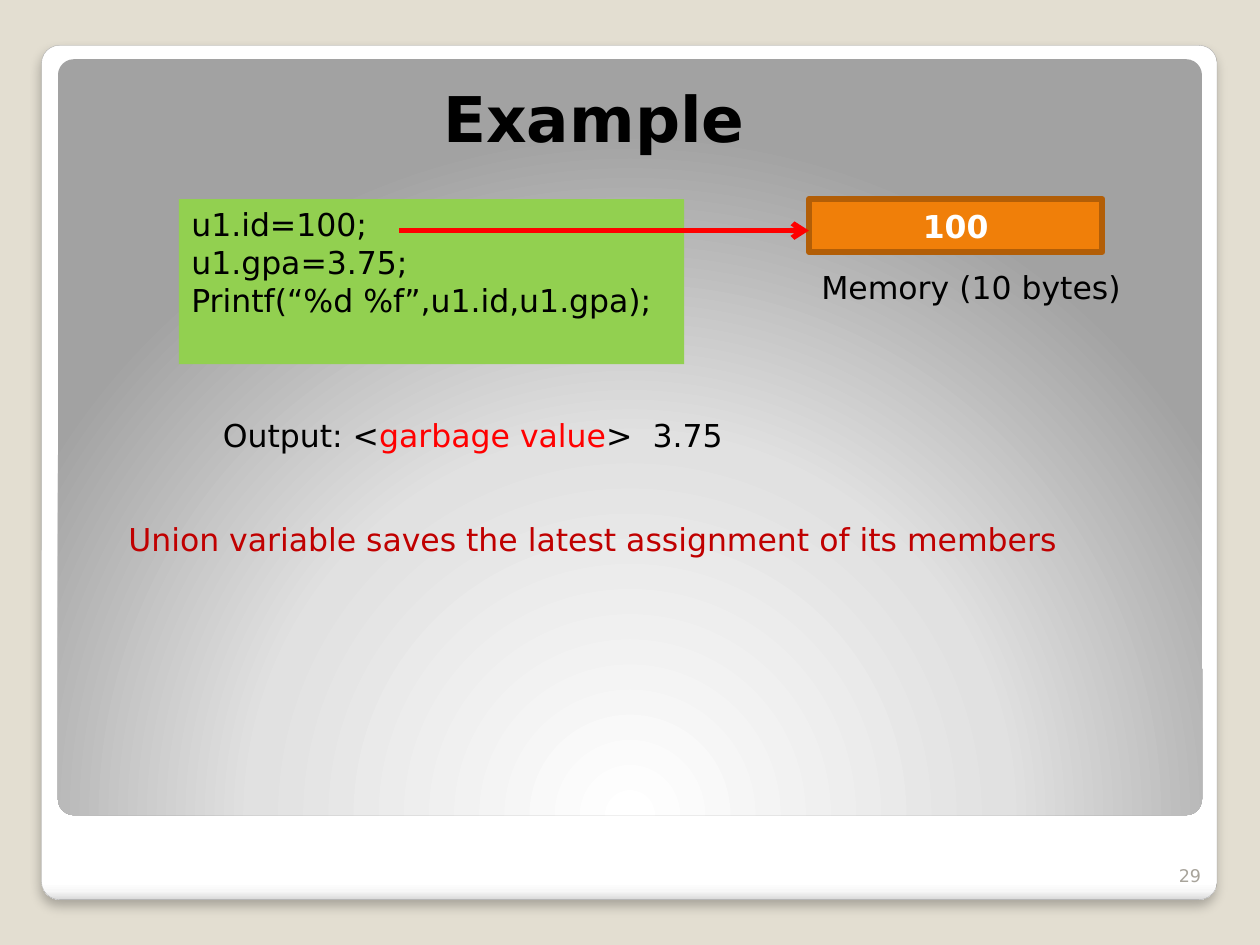
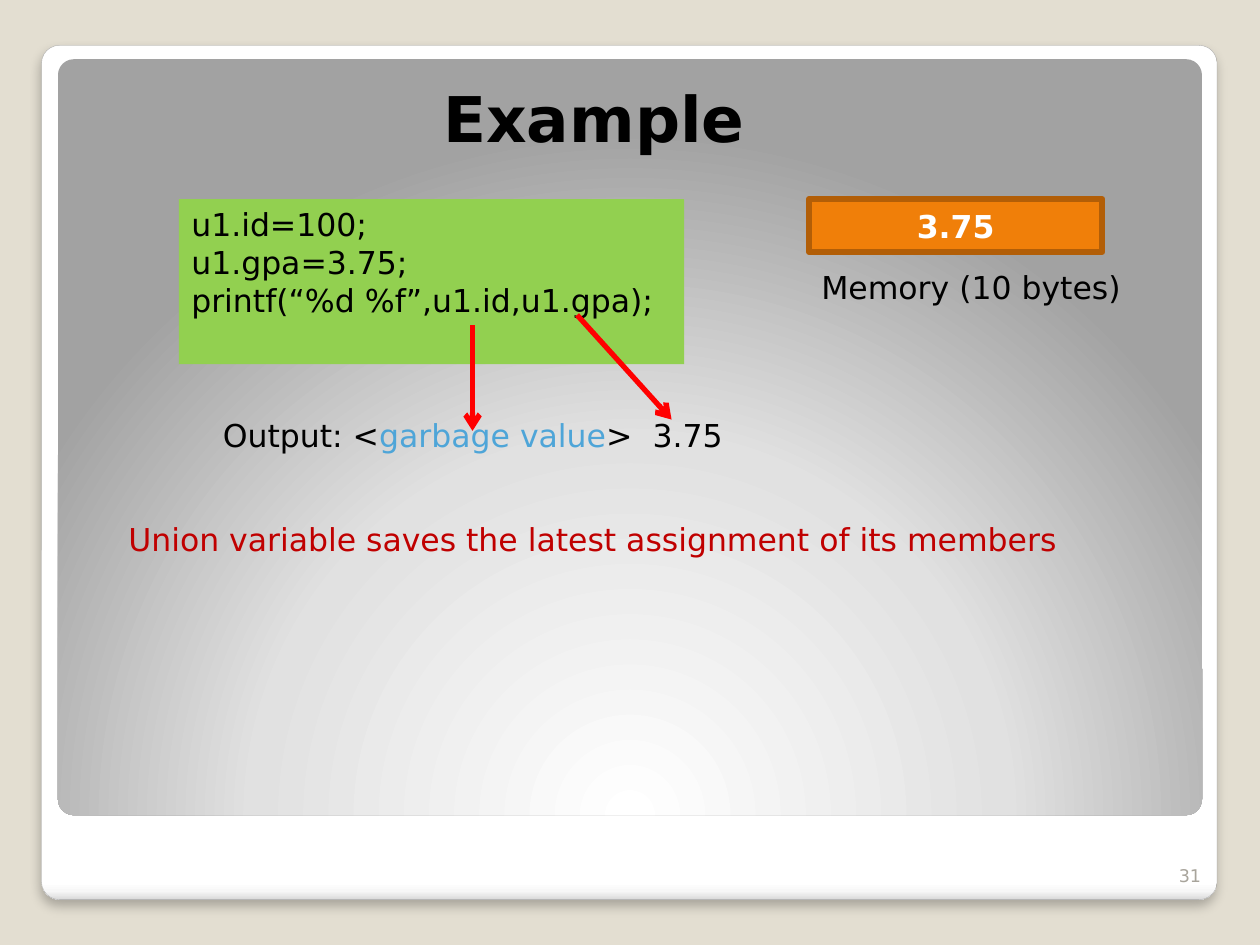
"""Build two slides on how a union keeps only its latest value."""
from dataclasses import dataclass

from pptx import Presentation
from pptx.dml.color import RGBColor
from pptx.enum.shapes import MSO_CONNECTOR as Link, MSO_SHAPE as Kind
from pptx.enum.text import MSO_ANCHOR as Anchor, MSO_AUTO_SIZE as Fit, PP_ALIGN as Align
from pptx.oxml import parse_xml
from pptx.oxml.ns import nsdecls
from pptx.shapes.autoshape import Shape
from pptx.slide import Slide
from pptx.util import Inches, Pt

FONT = "DejaVu Sans"
SAND = RGBColor(0xE3, 0xDE, 0xD1)
EDGE = RGBColor(0xA4, 0xA4, 0xA4)
STONE = RGBColor(0xA8, 0xA4, 0x9B)
BLACK = RGBColor(0, 0, 0)
WHITE = RGBColor(0xFF, 0xFF, 0xFF)
PEARL = RGBColor(0xF7, 0xF7, 0xF7)
SILVER = RGBColor(0xDA, 0xDA, 0xDA)
MIST = RGBColor(0xE1, 0xE1, 0xE1)
ASH = RGBColor(0xA2, 0xA2, 0xA2)
GREEN = RGBColor(0x92, 0xD0, 0x50)
ORANGE = RGBColor(0xF0, 0x7F, 0x09)
RUST = RGBColor(0xB2, 0x5E, 0x07)
RED = RGBColor(0xFF, 0, 0)
CRIMSON = RGBColor(0xC0, 0, 0)
BLUE = RGBColor(0x4E, 0xA5, 0xD8)

DOWN = '<a:lin ang="5400000" scaled="0"/>'
ROUND = '<a:path path="circle"><a:fillToRect l="50000" t="175000" r="50000" b="-75000"/></a:path>'
SHADE = (f'<a:outerShdw {nsdecls("a")} blurRad="{Pt(6)}" dist="{Pt(4)}" dir="5400000" '
         f'algn="t" rotWithShape="0"><a:srgbClr val="{BLACK}"><a:alpha val="25000"/>'
         '</a:srgbClr></a:outerShdw>')


@dataclass(frozen=True)
class Box:
    """Place and size in inches."""
    left: float
    top: float
    width: float
    height: float

    def frame(self) -> tuple[Inches, ...]:
        """Return the four lengths."""
        return tuple(Inches(n) for n in (self.left, self.top, self.width, self.height))


@dataclass(frozen=True)
class Style:
    """Look of a block of text."""
    color: RGBColor = BLACK
    size: float = 18
    bold: bool = False
    align: Align = Align.LEFT


@dataclass(frozen=True)
class Note:
    """Plain line of text on the slide."""
    box: Box
    text: str
    style: Style = Style()


@dataclass(frozen=True)
class Arrow:
    """Straight arrow between two points in inches."""
    start: tuple[float, float]
    end: tuple[float, float]


@dataclass(frozen=True)
class Demo:
    """What differs from slide to slide."""
    page: int
    call: str
    value: str
    tint: RGBColor
    arrows: tuple[Arrow, ...]


CARD = Box(0.33, 0.36, 9.33, 6.78)
PANEL = Box(0.46, 0.47, 9.08, 6)
CODE = Box(1.42, 1.58, 4.01, 1.31)
STORE = Box(6.42, 1.58, 2.33, 0.42)
PRINT = Box(1.67, 3.25, 4.24, 0.4)
PAGE = Box(9.13, 6.68, 0.5, 0.4)
NOTES = (
    Note(Box(3.42, 0.58, 2.62, 0.71), "Example", Style(size=36, bold=True)),
    Note(Box(6.42, 2.08, 2.64, 0.4), "Memory (10 bytes)"),
    Note(Box(0.92, 4.08, 7.66, 0.4),
         "Union variable saves the latest assignment of its members", Style(CRIMSON)),
)
DEMOS = (
    Demo(29, "Printf(“%d %f”,u1.id,u1.gpa);", "100", RED,
         (Arrow((3.17, 1.83), (6.42, 1.83)),)),
    Demo(31, "printf(“%d %f”,u1.id,u1.gpa);", "3.75", BLUE,
         (Arrow((3.75, 2.58), (3.75, 3.42)), Arrow((4.58, 2.5), (5.33, 3.33)))),
)


def add_block(slide: Slide, box: Box, kind: Kind, fill: RGBColor | None = None) -> Shape:
    """Add a shape with no line or shadow."""
    block = slide.shapes.add_shape(kind, *box.frame())
    block.shadow.inherit = False
    block.line.fill.background()
    if fill is None:
        block.fill.background()
    else:
        block.fill.solid()
        block.fill.fore_color.rgb = fill
    return block


def add_round(slide: Slide, box: Box, stops: dict[int, RGBColor], flow: str) -> Shape:
    """Add a rounded shape with a gradient fill."""
    block = add_block(slide, box, Kind.ROUNDED_RECTANGLE)
    block.adjustments[0] = 0.021
    marks = "".join(f'<a:gs pos="{at * 1000}"><a:srgbClr val="{color}"/></a:gs>'
                    for at, color in stops.items())
    props = block.element.spPr
    grad = f'<a:gradFill {nsdecls("a")} rotWithShape="1"><a:gsLst>{marks}</a:gsLst>{flow}</a:gradFill>'
    props.replace(props.find("{*}noFill"), parse_xml(grad))
    return block


def set_line(line, color: RGBColor, width: float) -> None:
    """Colour a line and set its width."""
    line.color.rgb = color
    line.width = Pt(width)


def put_text(shape: Shape, lines: list[str], style: Style, anchor: Anchor = Anchor.TOP) -> None:
    """Write lines of text in one style."""
    frame = shape.text_frame
    frame.vertical_anchor = anchor
    frame.text = "\n".join(lines)
    for para in frame.paragraphs:
        para.alignment = style.align
        font = para.font
        font.name, font.size, font.bold = FONT, Pt(style.size), style.bold
        font.color.rgb = style.color


def add_note(slide: Slide, note: Note) -> Shape:
    """Add a line of text that does not wrap."""
    shape = slide.shapes.add_textbox(*note.box.frame())
    put_text(shape, [note.text], note.style)
    shape.text_frame.word_wrap = False
    shape.text_frame.auto_size = Fit.SHAPE_TO_FIT_TEXT
    return shape


def add_print(slide: Slide, tint: RGBColor) -> None:
    """Add the output line with its tinted part."""
    para = add_note(slide, Note(PRINT, "Output: <")).text_frame.paragraphs[0]
    for text, color in (("garbage value", tint), (">  3.75", BLACK)):
        run = para.add_run()
        run.text = text
        run.font.color.rgb = color


def add_arrow(slide: Slide, arrow: Arrow) -> None:
    """Add a red arrow."""
    ends = [Inches(n) for n in arrow.start + arrow.end]
    link = slide.shapes.add_connector(Link.STRAIGHT, *ends)
    set_line(link.line, RED, 3)
    link.line._get_or_add_ln().append(parse_xml(f'<a:tailEnd {nsdecls("a")} type="arrow"/>'))
    link.element.spPr.append(parse_xml(f'<a:effectLst {nsdecls("a")}/>'))


def add_base(slide: Slide, page: int) -> None:
    """Draw the backdrop and the page number."""
    slide.background.fill.solid()
    slide.background.fill.fore_color.rgb = SAND
    card = add_round(slide, CARD, {0: WHITE, 98: WHITE, 99: PEARL, 100: SILVER}, DOWN)
    set_line(card.line, EDGE, 0.16)
    card.element.spPr.find("{*}effectLst").append(parse_xml(SHADE))
    add_round(slide, PANEL, {0: WHITE, 55: MIST, 100: ASH}, ROUND)
    shape = slide.shapes.add_textbox(*PAGE.frame())
    shape.text_frame.word_wrap = True
    put_text(shape, [str(page)], Style(STONE, 10, align=Align.RIGHT), Anchor.BOTTOM)


def add_demo(slide: Slide, demo: Demo) -> None:
    """Draw one example."""
    add_base(slide, demo.page)
    code = add_block(slide, CODE, Kind.RECTANGLE, GREEN)
    put_text(code, ["u1.id=100;", "u1.gpa=3.75;", demo.call], Style())
    code.text_frame.word_wrap = False
    for note in NOTES:
        add_note(slide, note)
    add_print(slide, demo.tint)
    store = add_block(slide, STORE, Kind.RECTANGLE, ORANGE)
    set_line(store.line, RUST, 3.35)
    put_text(store, [demo.value], Style(WHITE, bold=True, align=Align.CENTER), Anchor.MIDDLE)
    for arrow in demo.arrows:
        add_arrow(slide, arrow)


def main() -> None:
    """Build and save the deck."""
    deck = Presentation()
    deck.slide_width, deck.slide_height = Inches(10), Inches(7.5)
    for demo in DEMOS:
        add_demo(deck.slides.add_slide(deck.slide_layouts[6]), demo)
    deck.save("out.pptx")


if __name__ == "__main__":
    main()
